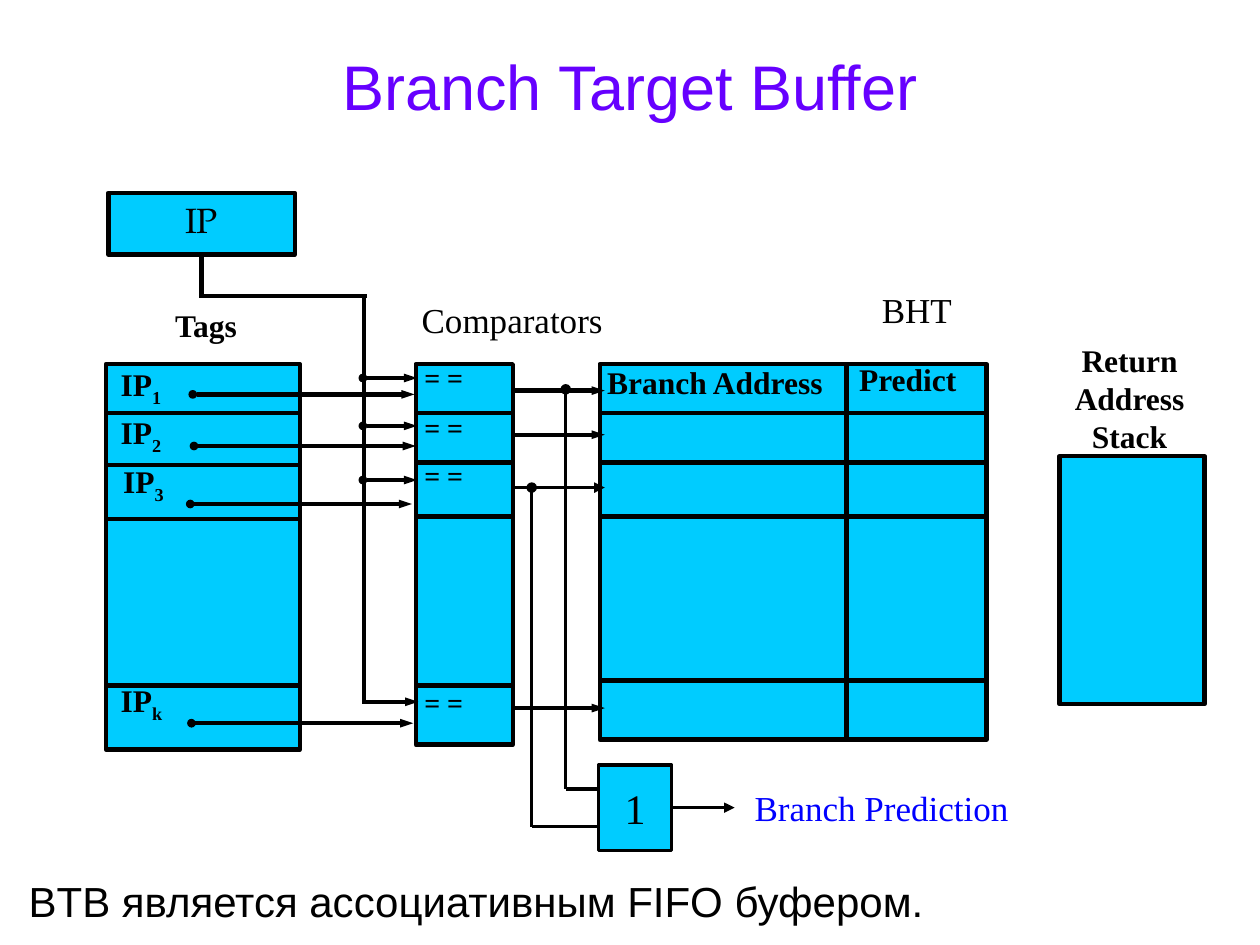
from lxml import etree
from pptx import Presentation
from pptx import util as u
from pptx.dml.color import RGBColor
from pptx.enum import shapes, text
from pptx.oxml.ns import qn

TIMES = "Times New Roman"
CENTER = text.PP_ALIGN.CENTER
LEFT = text.PP_ALIGN.LEFT


def color(hex_string):
    return RGBColor.from_string(hex_string)


class Diagram:
    """Holds the drawing style and the slide being built."""

    fill, ink = "00CCFF", "000000"

    def __init__(self, slide):
        self.slide = slide

    def set_words(self, frame, runs, align=LEFT, rgb=ink, **font_values):
        """Fill a frame with one paragraph; runs are (words, is_subscript)."""
        frame.word_wrap = True
        paragraph = frame.paragraphs[0]
        paragraph.alignment = align
        values = {"name": TIMES, "size": u.Pt(18), "bold": False, **font_values}
        for words, subscript in runs:
            run = paragraph.add_run()
            run.text = words
            for name, value in values.items():
                setattr(run.font, name, value)
            run.font.color.rgb = color(rgb)
            if subscript:
                run.font._element.set("baseline", "-25000")

    def title(self, words, place, **style):
        title = self.slide.shapes.title
        left, top, width, height = map(u.Inches, place)
        for name, value in {"left": left, "top": top, "width": width, "height": height}.items():
            setattr(title, name, value)
        title.text_frame.vertical_anchor = text.MSO_ANCHOR.MIDDLE
        self.set_words(title.text_frame, [(words, False)], CENTER, **style)

    def box(self, place, weight=2.5):
        box = self.slide.shapes.add_shape(
            shapes.MSO_SHAPE.RECTANGLE, *map(u.Inches, place))
        box.shadow.inherit = False
        box.fill.solid()
        box.fill.fore_color.rgb = color(self.fill)
        box.line.color.rgb = color(self.ink)
        box.line.width = u.Pt(weight)
        return box

    def label(self, words, place, subscript="", **style):
        frame = self.slide.shapes.add_textbox(*map(u.Inches, place)).text_frame
        runs = [(words, False)] + ([(subscript, True)] if subscript else [])
        self.set_words(frame, runs, **style)

    def line(self, start, end, dot=False, arrow=False, weight=2.5):
        line = self.slide.shapes.add_connector(
            shapes.MSO_CONNECTOR.STRAIGHT, *map(u.Inches, (*start, *end)))
        line.line.color.rgb = color(self.ink)
        line.line.width = u.Pt(weight)
        outline = line.line._ln
        small = "sm" if weight > 2 else "med"
        if dot:
            etree.SubElement(outline, qn("a:headEnd"), type="oval", w=small, len=small)
        if arrow:
            etree.SubElement(outline, qn("a:tailEnd"), type="triangle", w=small, len="med")
        etree.SubElement(line._element.spPr, qn("a:effectLst"))
        return line


def draw_tables(diagram):
    tags, comparators, history = (0.84, 1.54), (3.3, 0.77), (4.76, 3.07)
    for (left, width), height, dividers in (
        (tags, 3.06, (3.28, 3.69, 4.12, 5.44)),
        (comparators, 3.02, (3.28, 3.67, 4.1, 5.44)),
        (history, 2.98, (3.28, 3.67, 4.1, 5.4)),
    ):
        diagram.box((left, 2.89, width, height))
        for y in dividers:
            diagram.line((left, y), (left + width, y))
    diagram.line((6.72, 2.89), (6.72, 5.89))
    diagram.box((8.41, 3.62, 1.15, 1.97))


def draw_pointer(diagram):
    pointer = diagram.box((0.86, 1.53, 1.48, 0.49))
    pointer.text_frame.vertical_anchor = text.MSO_ANCHOR.TOP
    diagram.set_words(pointer.text_frame, [("IP", False)], CENTER,
                      name="TeX Gyre Pagella", size=u.Pt(20))
    diagram.line((1.6, 2.02), (1.6, 2.35)).begin_connect(pointer, 2)
    diagram.line((1.58, 2.35), (2.91, 2.35))
    diagram.line((2.89, 2.35), (2.89, 5.59))
    for y in (3, 3.38, 3.81):
        diagram.line((2.88, y), (3.31, y), dot=True, arrow=True)
    diagram.line((2.89, 5.57), (3.32, 5.57), arrow=True)


def draw_rows(diagram):
    for index, left, top, tag_x, tag_y, equal_top in (
        ("1", 0.86, 2.85, 1.53, 3.13, 2.81),
        ("2", 0.86, 3.23, 1.54, 3.54, 3.21),
        ("3", 0.88, 3.62, 1.51, 4, 3.59),
        ("k", 0.86, 5.36, 1.52, 5.74, 5.39),
    ):
        diagram.line((tag_x, tag_y), (tag_x + 1.76, tag_y), dot=True, arrow=True)
        diagram.label("IP", (left, top, 0.77, 0.6), subscript=index, bold=True)
        diagram.label("= =", (3.27, equal_top, 0.77, 0.49), size=u.Pt(16), bold=True)
    for y, weight in ((3.1, 2.5), (3.45, 2.5), (3.87, 2), (5.62, 2.5)):
        diagram.line((4.08, y), (4.8, y), arrow=True, weight=weight)


def draw_prediction(diagram):
    gate = diagram.box((4.75, 6.07, 0.58, 0.68), weight=2)
    gate.text_frame.vertical_anchor = text.MSO_ANCHOR.MIDDLE
    diagram.set_words(gate.text_frame, [("1", False)], CENTER, size=u.Pt(24))
    for x, top, bottom in ((4.49, 3.09, 6.26), (4.22, 3.87, 6.56)):
        diagram.line((x, top), (x, bottom), dot=True, weight=2)
        diagram.line((x, bottom), (4.74, bottom), weight=2)
    diagram.line((5.33, 6.41), (5.83, 6.41), arrow=True, weight=2).begin_connect(gate, 3)
    diagram.label("Branch Prediction", (5.89, 6.19, 2.58, 0.44),
                  rgb="0000FF", size=u.Pt(20))


def draw_headings(diagram):
    for words, place, style in (
        ("Comparators", (2.96, 2.32, 2.21, 0.49), {"align": CENTER, "size": u.Pt(20)}),
        ("BHT", (6.9, 2.24, 0.93, 0.44), {"size": u.Pt(20)}),
        ("Tags", (0.83, 2.38, 1.61, 0.49), {"align": CENTER, "bold": True}),
        ("Branch Address", (4.72, 2.83, 2.09, 0.6), {"bold": True}),
        ("Predict", (6.72, 2.81, 1.34, 0.6), {"bold": True}),
        ("Return Address Stack", (8.32, 2.66, 1.29, 0.65), {"align": CENTER, "bold": True}),
    ):
        diagram.label(words, place, **style)


def main():
    deck = Presentation()
    deck.slide_width, deck.slide_height = u.Inches(10), u.Inches(7.5)
    diagram = Diagram(deck.slides.add_slide(deck.slide_layouts[5]))
    diagram.title("Branch Target Buffer", (0.5, 0.05, 9, 1.25),
                  rgb="6600FF", name="Arial", size=u.Pt(36))
    draw_tables(diagram)
    draw_pointer(diagram)
    draw_rows(diagram)
    draw_prediction(diagram)
    draw_headings(diagram)
    diagram.label("BTB является ассоциативным FIFO буфером.", (0.13, 6.9, 9.67, 0.5),
                  name="Arial", size=u.Pt(24))
    deck.save("out.pptx")


if __name__ == "__main__":
    main()
